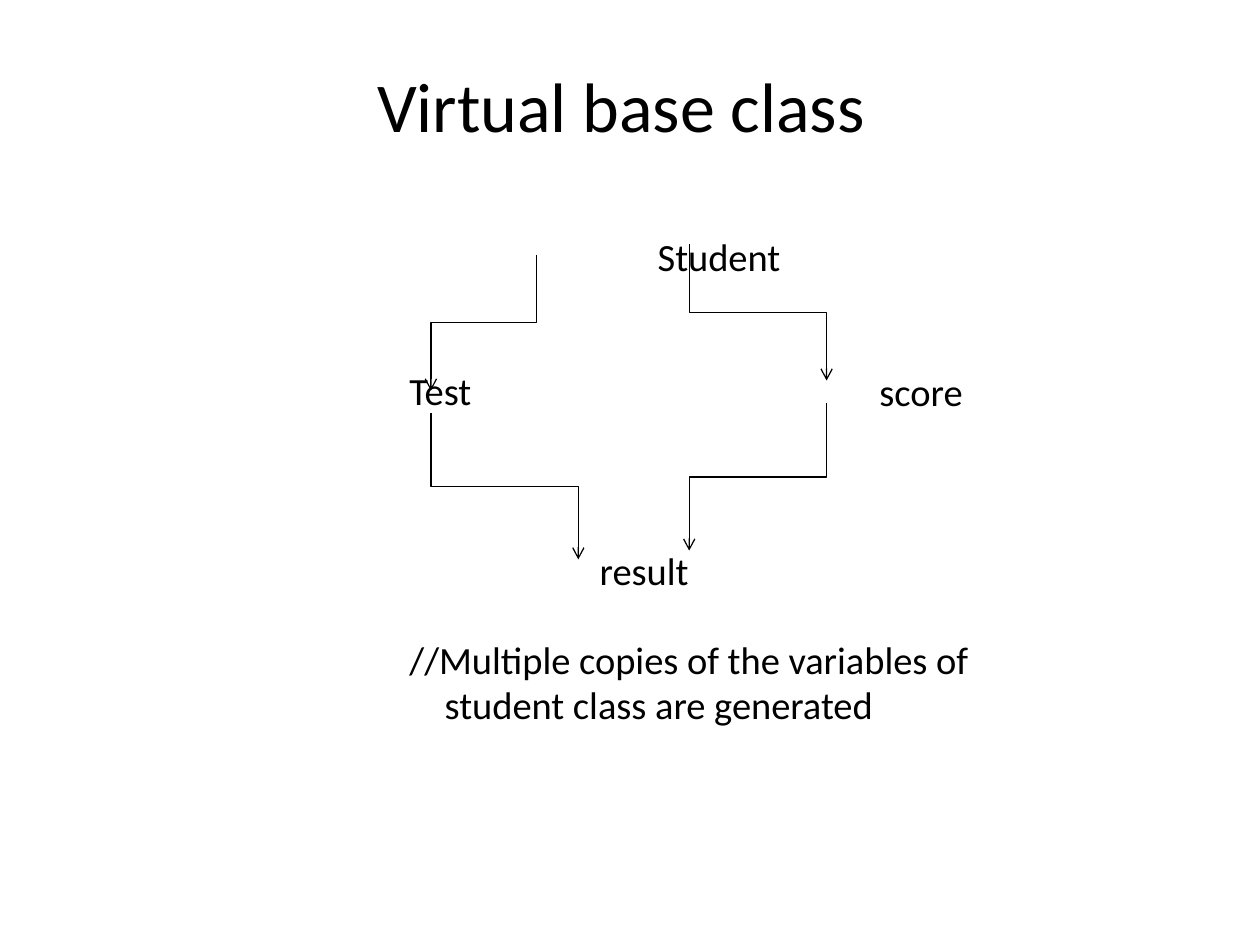
from pptx import Presentation
from pptx.dml.color import RGBColor
from pptx.enum.shapes import MSO_CONNECTOR
from pptx.enum.text import MSO_ANCHOR, PP_ALIGN
from pptx.oxml.ns import qn
from pptx.util import Inches, Pt
from lxml.etree import SubElement

INK = "000000"
LINE_HEIGHT = 25.6


def color(hex_value):
    """Turn a hex string into a colour."""
    return RGBColor.from_string(hex_value)


def style(paragraph, size):
    """Apply the slide's type style to a paragraph."""
    paragraph.line_spacing = 0.97
    for run in paragraph.runs:
        run.font.name = "Calibri"
        run.font.size = Pt(size)
        run.font.color.rgb = color(INK)


def add_frame(slide, left, top, width, height):
    """Add a wrapping text box and return its text frame."""
    frame = slide.shapes.add_textbox(*map(Inches, (left, top, width, height))).text_frame
    frame.word_wrap = True
    return frame


def add_title(slide, left, top, width, height):
    """Place the centred heading in its box."""
    heading = add_frame(slide, left, top, width, height)
    heading.vertical_anchor = MSO_ANCHOR.MIDDLE
    heading.text = "Virtual base class"
    heading.paragraphs[0].alignment = PP_ALIGN.CENTER
    style(heading.paragraphs[0], 40)


def add_class_names(slide, left, top, width, height):
    """Place the classes of the main column and the closing remark in one box."""
    body = add_frame(slide, left, top, width, height)
    body.margin_left, body.margin_top = Inches(0.45), Inches(0.17)
    body.margin_right = body.margin_bottom = 0
    rows = [
        ("Student", 0, 1.97, 0),
        ("Test", 2, 0, 0),
        ("result", 3, 1.51, 0),
        ("//Multiple copies of the variables of student class are generated", 1, 0.28, -0.28),
    ]
    for index, (wording, lines_before, margin, indent) in enumerate(rows):
        paragraph = body.add_paragraph() if index else body.paragraphs[0]
        paragraph.text = wording
        properties = paragraph._p.get_or_add_pPr()
        properties.set("marL", str(Inches(margin)))
        properties.set("indent", str(Inches(indent)))
        if lines_before:
            paragraph.space_before = Pt(lines_before * LINE_HEIGHT)
        style(paragraph, 22)


def add_score(slide, left, top, width, height):
    """Place the class name that stands level with Test on the right."""
    score = add_frame(slide, left, top, width, height)
    score.margin_left = score.margin_top = score.margin_right = score.margin_bottom = 0
    score.text = "score"
    style(score.paragraphs[0], 22)


def add_inheritance_arrow(slide, start, end):
    """Draw an elbow arrow that leaves and arrives vertically."""
    (start_x, start_y), (end_x, end_y) = start, end
    middle_x, middle_y = (start_x + end_x) / 2, (start_y + end_y) / 2
    to_right = end_x > start_x
    half_run = (end_y - start_y) / 2 * (-1 if to_right else 1)
    half_rise = abs(end_x - start_x) / 2
    arrow = slide.shapes.add_connector(
        MSO_CONNECTOR.ELBOW,
        Inches(middle_x - half_run), Inches(middle_y - half_rise),
        Inches(middle_x + half_run), Inches(middle_y + half_rise))
    arrow.line.color.rgb = color(INK)
    arrow.line.width = Pt(0.75)
    properties = arrow._element.spPr
    properties.find(qn("a:xfrm")).set("rot", str((270 if to_right else 90) * 60000))
    SubElement(arrow.line._get_or_add_ln(), qn("a:tailEnd"), type="arrow")
    SubElement(properties, qn("a:effectLst"))


def add_inheritance(slide, left, top, width, height):
    """Draw the arrows from Student through Test and score to result."""
    right, bottom = left + width, top + height
    inner_x = left + 2.05
    routes = [
        ((left, top + 1.34), (left + 1.17, bottom)),
        ((right, top + 1.26), (inner_x, bottom - 0.07)),
        ((left + 0.84, top + 0.08), (left, top + 1.16)),
        ((inner_x, top), (right, top + 1.08)),
    ]
    for start, end in routes:
        add_inheritance_arrow(slide, start, end)


def main():
    """Build and save the slide."""
    presentation = Presentation()
    presentation.slide_width, presentation.slide_height = Inches(10), Inches(7.5)
    slide = presentation.slides.add_slide(presentation.slide_layouts[6])
    add_title(slide, 0.5, 0.3, 8.86, 1.12)
    add_class_names(slide, 2.8, 1.7, 5.43, 4.82)
    add_score(slide, 6.98, 2.94, 1.25, 0.36)
    add_inheritance(slide, 3.42, 1.94, 3.14, 2.5)
    presentation.save("out.pptx")


if __name__ == "__main__":
    main()
